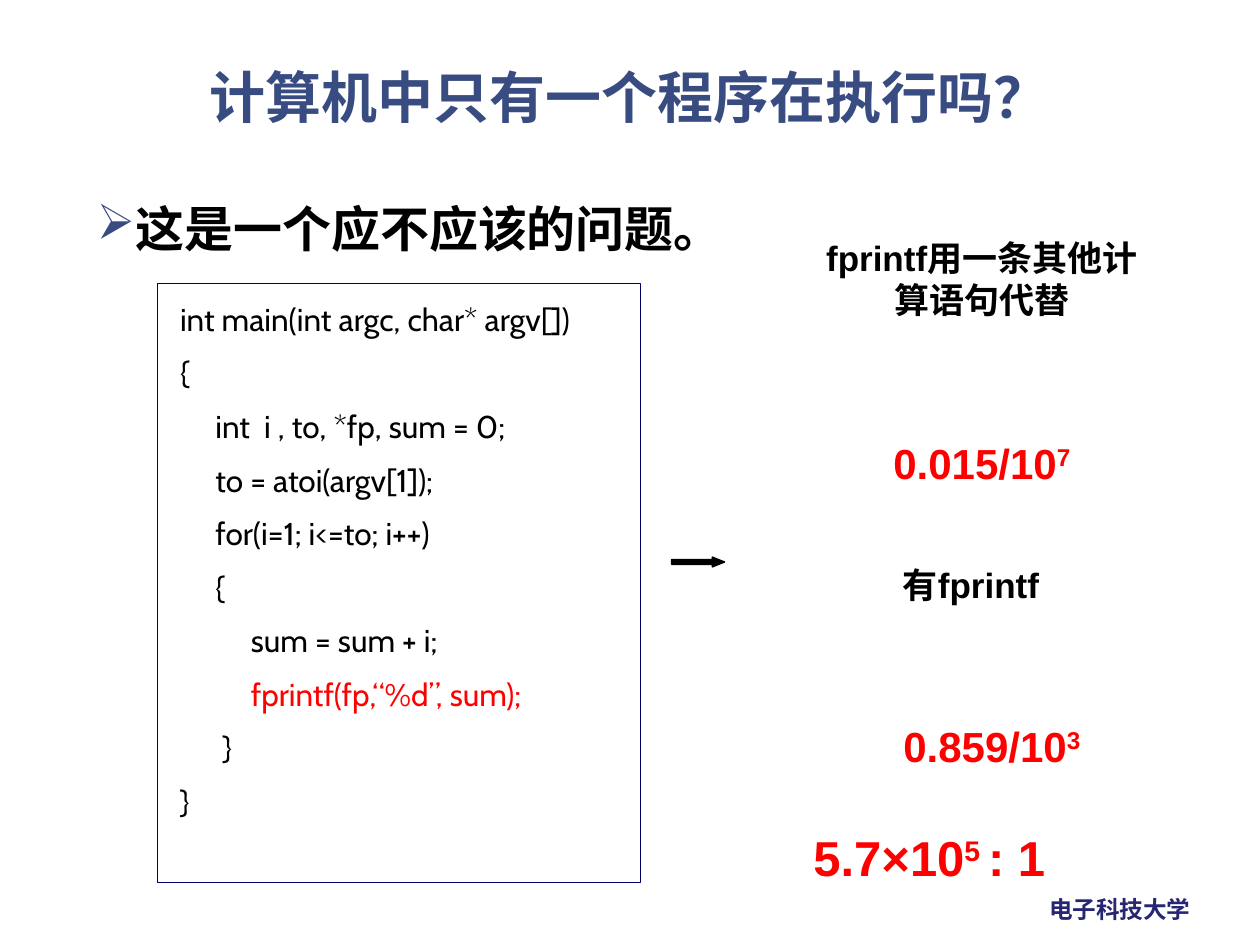
from pptx import Presentation
from pptx.dml.color import RGBColor
from pptx.enum.shapes import MSO_SHAPE
from pptx.enum.text import MSO_ANCHOR, PP_ALIGN
from pptx.oxml.ns import qn
from pptx.util import Cm, Pt
from lxml import etree

WHITE = RGBColor(0xFF, 0xFF, 0xFF)
BLACK = RGBColor(0x00, 0x00, 0x00)
RED = RGBColor(0xFF, 0x00, 0x00)
NAVY = RGBColor(0x00, 0x00, 0x66)
TITLE_BLUE = RGBColor(0x38, 0x4C, 0x81)
FOOTER_BLUE = RGBColor(0x26, 0x26, 0x73)

CJK_FONT = "Noto Sans CJK SC"

CODE_LINES = [
    "int main(int argc, char* argv[])",
    "{",
    "     int  i , to, *fp, sum = 0;",
    "     to = atoi(argv[1]);",
    "     for(i=1; i<=to; i++)",
    "     {",
    "          sum = sum + i;",
    "          fprintf(fp,“%d”, sum);",
    "      }",
    "}",
]

# left, top, height in cm; size in points; colour; (text, is superscript) pieces
RESULTS = [
    (16.3, 4.65, 1.95, 20, BLACK, [("fprintf用一条其他计算语句代替", False)]),
    (16.3, 8.69, 1.27, 24, RED, [("0.015/10", False), ("7", True)]),
    (16.08, 11.23, 1.1, 20, BLACK, [("有fprintf", False)]),
    (16.5, 14.4, 1.27, 24, RED, [("0.859/10", False), ("3", True)]),
    (15.24, 16.56, 1.45, 28, RED,
     [("5.7×10", False), ("5 ", True), (": 1", False)]),
]


def add_text_frame(slide, left, top, width, height, wrap=True):
    frame = slide.shapes.add_textbox(left, top, width, height).text_frame
    frame.word_wrap = wrap
    return frame


def style_paragraph(paragraph, size, color, name="Arial", bold=True):
    font = paragraph.font
    font.name, font.size, font.bold = name, Pt(size), bold
    font.color.rgb = color


def add_title(slide, left, top, width, height):
    frame = add_text_frame(slide, left, top, width, height)
    frame.vertical_anchor = MSO_ANCHOR.MIDDLE
    paragraph = frame.paragraphs[0]
    paragraph.text = "计算机中只有一个程序在执行吗？"
    paragraph.alignment = PP_ALIGN.CENTER
    paragraph.line_spacing = 0.9
    style_paragraph(paragraph, 32, TITLE_BLUE, CJK_FONT)


def add_question(slide, left, top, width, height):
    paragraph = add_text_frame(slide, left, top, width, height).paragraphs[0]
    paragraph.text = "这是一个应不应该的问题。"
    paragraph.line_spacing = 1.3
    properties = paragraph._p.get_or_add_pPr()
    properties.set("marL", str(Cm(0.48)))
    properties.set("indent", str(-Cm(0.48)))
    bullet_color = etree.SubElement(properties, qn("a:buClr"))
    etree.SubElement(bullet_color, qn("a:srgbClr"), val=str(TITLE_BLUE))
    etree.SubElement(properties, qn("a:buChar"), char="➢")
    style_paragraph(paragraph, 28, BLACK)


def add_code_panel(slide, left, top, width, height):
    panel = slide.shapes.add_shape(MSO_SHAPE.RECTANGLE, left, top, width, height)
    panel.shadow.inherit = False
    panel.fill.solid()
    panel.fill.fore_color.rgb = WHITE
    panel.line.color.rgb = NAVY
    panel.line.width = Pt(0.75)

    frame = add_text_frame(slide, left + Cm(0.2), top + Cm(0.2),
                           width + Cm(0.43), height - Cm(0.74))
    for index, line in enumerate(CODE_LINES):
        paragraph = frame.add_paragraph() if index else frame.paragraphs[0]
        paragraph.text = line
        if index:
            paragraph.space_before = Pt(9)
        color = RED if "fprintf" in line else BLACK
        style_paragraph(paragraph, 18, color, "Cabin", bold=False)


def add_arrow(slide, left, top, width, height):
    arrow = slide.shapes.add_shape(MSO_SHAPE.RIGHT_ARROW, left, top, width, height)
    arrow.adjustments[1] = 1.25
    arrow.shadow.inherit = False
    arrow.fill.solid()
    arrow.fill.fore_color.rgb = BLACK
    arrow.line.color.rgb = BLACK
    arrow.line.width = Pt(0.75)


def add_result(slide, left, top, width, height, size, color, pieces):
    paragraph = add_text_frame(slide, left, top, width, height).paragraphs[0]
    paragraph.alignment = PP_ALIGN.CENTER
    style_paragraph(paragraph, size, color)
    for text, superscript in pieces:
        run = paragraph.add_run()
        run.text = text
        if superscript:
            run.font._element.set("baseline", "30000")


def add_footer(slide, left, top, width, height):
    frame = add_text_frame(slide, left, top, width, height, wrap=False)
    paragraph = frame.paragraphs[0]
    paragraph.text = "电子科技大学"
    style_paragraph(paragraph, 13.5, FOOTER_BLUE, CJK_FONT)


def main():
    presentation = Presentation()
    presentation.slide_width, presentation.slide_height = Cm(25.4), Cm(19.05)
    slide = presentation.slides.add_slide(presentation.slide_layouts[6])

    add_footer(slide, Cm(20.9), Cm(17.91), Cm(3.4), Cm(0.84))
    add_title(slide, Cm(1.73), Cm(1.27), Cm(21.95), Cm(1.52))
    add_question(slide, Cm(1.7), Cm(3.53), Cm(22), Cm(2.41))
    add_code_panel(slide, Cm(3.18), Cm(5.72), Cm(9.73), Cm(12.07))
    add_arrow(slide, Cm(13.54), Cm(11.23), Cm(1.07), Cm(0.2))
    for left, top, height, size, color, pieces in RESULTS:
        add_result(slide, Cm(left), Cm(top), Cm(6.99), Cm(height),
                   size, color, pieces)

    presentation.save("out.pptx")


if __name__ == "__main__":
    main()
